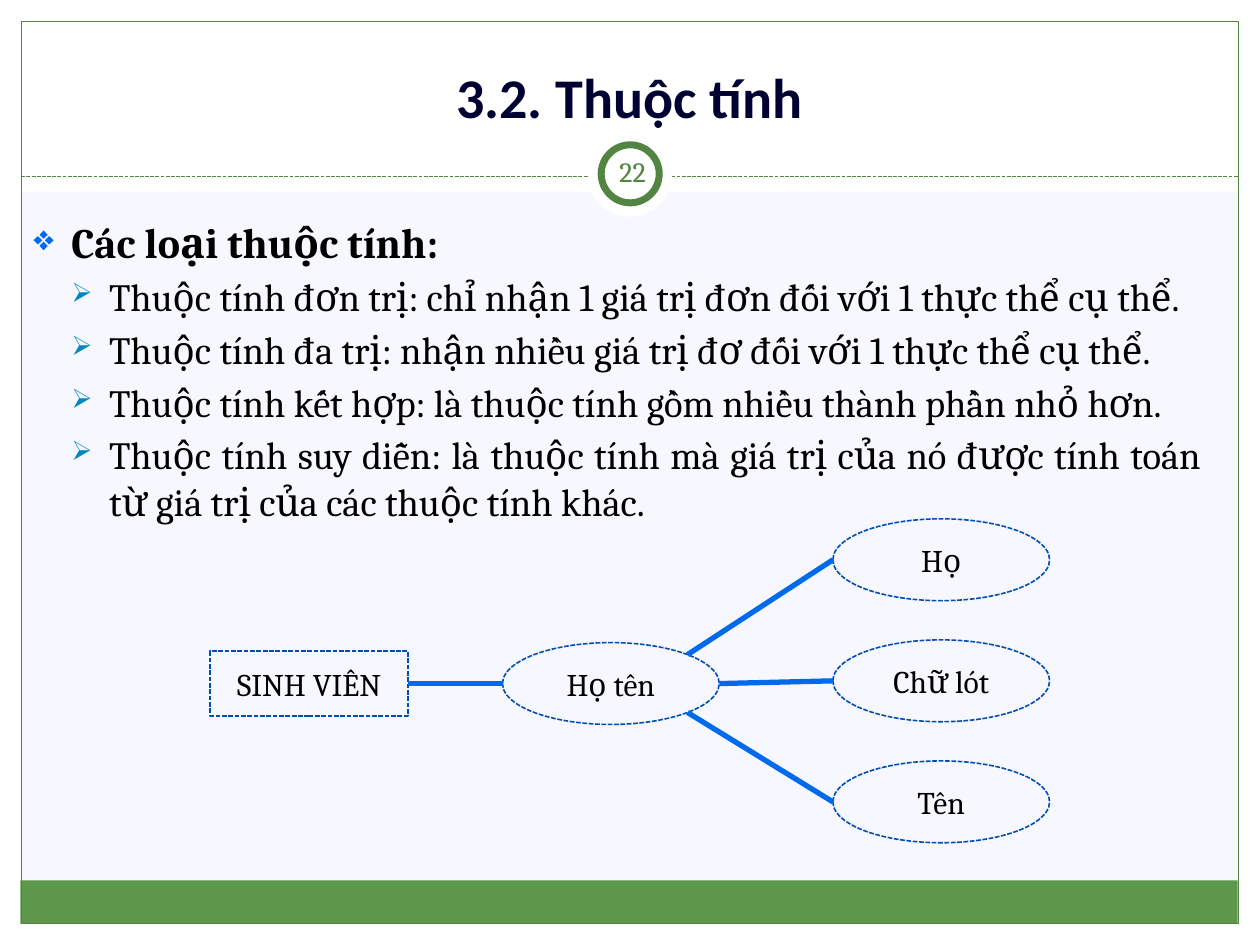
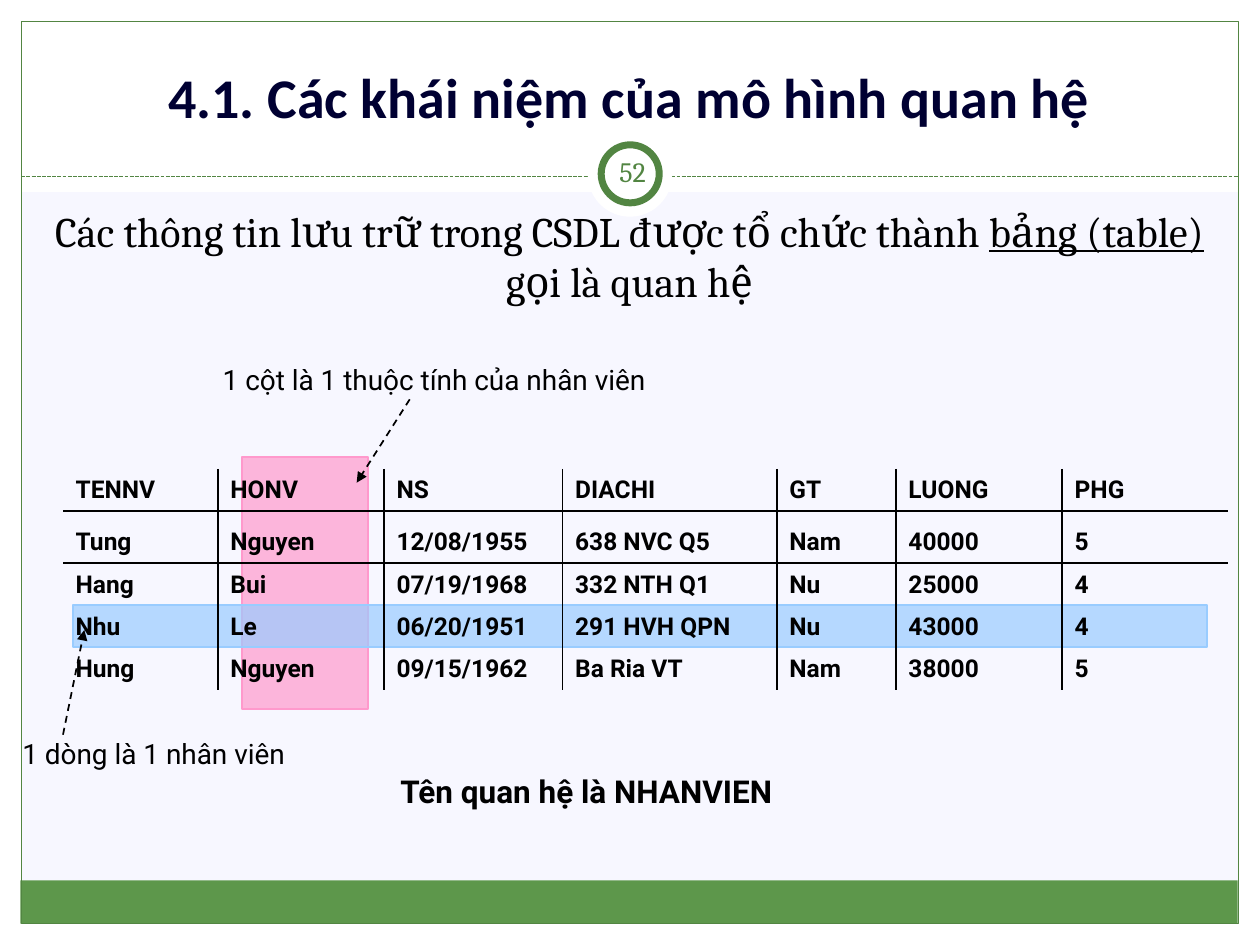
import math
import pptx
import pptx.util
import pptx.dml.color
import pptx.enum.dml
import pptx.enum.shapes
import pptx.enum.text
import pptx.oxml
import pptx.oxml.ns
from lxml import etree

Cm, Pt = pptx.util.Cm, pptx.util.Pt
RGBColor = pptx.dml.color.RGBColor
Kind = pptx.enum.shapes.MSO_SHAPE
Dash = pptx.enum.dml.MSO_LINE
Align = pptx.enum.text.PP_ALIGN
Anchor = pptx.enum.text.MSO_ANCHOR
qn = pptx.oxml.ns.qn

# Colours
WHITE = RGBColor(0xFF, 0xFF, 0xFF)
BLACK = RGBColor(0, 0, 0)
PALE = RGBColor(0xF7, 0xF7, 0xFF)
GREEN = RGBColor(0x5D, 0x97, 0x4B)
MOSS = RGBColor(0x52, 0x85, 0x42)
NAVY = RGBColor(0, 0, 0x32)
BLUE = RGBColor(0, 0x6A, 0xED)
TEAL = RGBColor(0, 0x87, 0xBF)
EDGE = RGBColor(0, 0x4E, 0xAF)
PINK = RGBColor(0xFF, 0x99, 0xCC)
SKY = RGBColor(0x99, 0xCC, 0xFF)

# Fonts
HEAD, SERIF, SANS = "Calibri", "Cambria", "Roboto"

NO_GRID = "{2D5ABB26-0587-4C30-8999-92F81FD0307C}"


# Basic elements
def set_font(para, name, size, color=BLACK, bold=False):
    font = para.font
    font.name, font.size, font.bold = name, Pt(size), bold
    font.color.rgb = color


def set_line(line, color, width, dash=None):
    line.color.rgb = color
    line.width = Pt(width)
    if dash:
        line.dash_style = dash


def add_form(slide, kind, area, fill=None, line=None, alpha=None):
    form = slide.shapes.add_shape(kind, *map(Cm, area))
    form.shadow.inherit = False
    if fill is None:
        form.fill.background()
    else:
        form.fill.solid()
        form.fill.fore_color.rgb = fill
    if alpha:
        tint = form.fill._xPr.find(qn("a:solidFill"))[0]
        etree.SubElement(tint, qn("a:alpha"), val=str(alpha * 1000))
    if line:
        set_line(form.line, *line)
    else:
        form.line.fill.background()
    return form


def add_line(slide, start, end, color, width, dash=None, arrow=False):
    link = slide.shapes.add_connector(
        pptx.enum.shapes.MSO_CONNECTOR.STRAIGHT, *map(Cm, (*start, *end)))
    set_line(link.line, color, width, dash)
    if arrow:
        etree.SubElement(link.line._get_or_add_ln(), qn("a:tailEnd"), type="triangle")
    etree.SubElement(link._element.spPr, qn("a:effectLst"))
    return link


def add_box(slide, area, text, name, size, color=BLACK, bold=False,
            align=Align.LEFT, anchor=Anchor.TOP):
    frame = slide.shapes.add_textbox(*map(Cm, area)).text_frame
    frame.word_wrap = True
    frame.vertical_anchor = anchor
    para = frame.paragraphs[0]
    para.text = text
    para.alignment = align
    set_font(para, name, size, color, bold)
    return frame


def add_point(para, text, level, mark, color, scale):
    para.text = text
    para.level = level
    props = para._p.get_or_add_pPr()
    step = Cm(0.76)
    props.set("marL", str(step * (level + 1)))
    props.set("indent", str(-step))
    tint = etree.SubElement(props, qn("a:buClr"))
    etree.SubElement(tint, qn("a:srgbClr"), val=str(color))
    etree.SubElement(props, qn("a:buSzPct"), val=str(scale * 1000))
    etree.SubElement(props, qn("a:buChar"), char=mark)


# Shared look: bands, frame, title and number
def add_base(deck, title, number):
    slide = deck.slides.add_slide(deck.slide_layouts[6])
    slide.background.fill.solid()
    slide.background.fill.fore_color.rgb = PALE
    for band in ((0, 18.62, 25.4, 0.43), (0, 0, 25.4, 3.87),
                 (0, 0, 0.43, 19.05), (24.97, 0, 0.43, 19.05)):
        add_form(slide, Kind.RECTANGLE, band, WHITE)
    add_form(slide, Kind.RECTANGLE, (0.41, 17.75, 24.54, 0.87), GREEN)
    add_form(slide, Kind.RECTANGLE, (0.43, 0.43, 24.54, 18.19), line=(MOSS, 0.75))
    add_line(slide, (0.43, 3.56), (24.97, 3.56), MOSS, 0.75, Dash.SQUARE_DOT)
    add_form(slide, Kind.OVAL, (11.85, 2.67, 1.7, 1.7), WHITE)
    add_form(slide, Kind.OVAL, (12.12, 2.92, 1.17, 1.17), WHITE, (MOSS, 4))
    add_box(slide, (0.84, 0.64, 23.7, 2.11), title, HEAD, 32, NAVY, True,
            Align.CENTER, Anchor.BOTTOM)
    badge = add_box(slide, (12.12, 2.84, 1.27, 1.22), number, SERIF, 16, MOSS,
                    align=Align.CENTER, anchor=Anchor.MIDDLE)
    badge.margin_left = badge.margin_right = Cm(0.13)
    return slide


# Entity diagram
def add_node(slide, kind, area, text):
    node = add_form(slide, kind, area, line=(EDGE, 0.9, Dash.SQUARE_DOT))
    para = node.text_frame.paragraphs[0]
    para.text = text
    para.alignment = Align.CENTER
    node.text_frame.vertical_anchor = Anchor.MIDDLE
    set_font(para, SERIF, 18)
    return node


def add_tree(slide):
    wide, high = 4.37, 1.65
    left, mid = 10.13, 13.78
    student = add_node(slide, Kind.RECTANGLE, (4.24, mid - 0.65, 3.99, 1.3), "SINH VIÊN")
    add_node(slide, Kind.OVAL, (left, mid - high / 2, wide, high), "Họ tên")
    stem = add_line(slide, (left, mid), (8.23, mid), BLUE, 3)
    stem.end_connect(student, 3)
    for i, part in enumerate(("Họ", "Chữ lót", "Tên")):
        top = 10.46 + 2.44 * i
        add_node(slide, Kind.OVAL, (16.79, top, wide, high), part)
        angle = math.pi / 4 * (i - 1)
        joint = (left + wide / 2 * (1 + math.cos(angle)),
                 mid + high / 2 * math.sin(angle))
        add_line(slide, (16.79, top + high / 2), joint, BLUE, 3)


# Relation table
def rule_cell(cell, sides):
    props = cell._tc.get_or_add_tcPr()
    for spot, side in enumerate(sides):
        edge = etree.Element(qn("a:ln" + side), w=str(Pt(1)))
        fill = etree.SubElement(edge, qn("a:solidFill"))
        etree.SubElement(fill, qn("a:srgbClr"), val=str(BLACK))
        props.insert(spot, edge)


def add_grid(slide, rows, widths, heights, left, top):
    area = map(Cm, (left, top, sum(widths), sum(heights)))
    table = slide.shapes.add_table(len(rows), len(widths), *area).table
    table.first_row = table.horz_banding = False
    table._tbl.tblPr.find(qn("a:tableStyleId")).text = NO_GRID
    for col, width in zip(table.columns, widths):
        col.width = Cm(width)
    for r, row in enumerate(rows):
        table.rows[r].height = Cm(heights[r])
        for c, text in enumerate(row):
            cell = table.cell(r, c)
            cell.fill.background()
            cell.margin_top = cell.margin_bottom = Cm(0.12)
            cell.vertical_anchor = Anchor.BOTTOM
            para = cell.text_frame.paragraphs[0]
            para.text = text
            set_font(para, SANS, 14, bold=True)
            rules = (("L", c > 0), ("R", c < len(row) - 1), ("T", r == 1), ("B", r == 0))
            rule_cell(cell, [side for side, shown in rules if shown])


# Slides
def add_types(deck):
    slide = add_base(deck, "3.2. Thuộc tính", "22")
    frame = add_box(slide, (0.43, 4.24, 24.03, 12.7), "", SERIF, 24)
    lead = frame.paragraphs[0]
    add_point(lead, "Các loại thuộc tính:", 0, "❖", BLUE, 85)
    # Keep the default run properties after the bullet elements
    props = lead._p.pPr
    props.append(props.find(qn("a:defRPr")))
    set_font(lead, SERIF, 24, bold=True)
    for text in (
            "Thuộc tính đơn trị: chỉ nhận 1 giá trị đơn đối với 1 thực thể cụ thể.",
            "Thuộc tính đa trị: nhận nhiều giá trị đơ đối với 1 thực thể cụ thể.",
            "Thuộc tính kết hợp: là thuộc tính gồm nhiều thành phần nhỏ hơn.",
            "Thuộc tính suy diễn: là thuộc tính mà giá trị của nó được tính toán "
            "từ giá trị của các thuộc tính khác."):
        para = frame.add_paragraph()
        add_point(para, text, 1, "➢", TEAL, 70)
        para.alignment = Align.JUSTIFY
        para.space_before = Pt(3.7)
        set_font(para, SERIF, 22)
    add_tree(slide)


def add_terms(deck):
    slide = add_base(deck, "4.1. Các khái niệm của mô hình quan hệ", "52")
    intro = add_box(slide, (0.84, 4.01, 23.7, 2.34),
                    "Các thông tin lưu trữ trong CSDL được tổ chức thành ",
                    SERIF, 24, align=Align.CENTER).paragraphs[0]
    term = intro.add_run()
    term.text = "bảng (table)"
    term.font.underline = True
    intro.add_run().text = " gọi là quan hệ"

    # Marked column and row
    add_form(slide, Kind.RECTANGLE, (4.88, 9.22, 2.54, 5.08), PINK, (PINK, 1), 70)
    add_box(slide, (4.24, 7.19, 9.73, 0.94), "1 cột là 1 thuộc tính của nhân viên", SANS, 16)
    add_form(slide, Kind.RECTANGLE, (1.47, 12.19, 22.86, 0.85), SKY, (SKY, 1), 70)
    add_box(slide, (0.2, 14.73, 6.15, 0.94), "1 dòng là 1 nhân viên", SANS, 16)

    rows = (
        ("TENNV", "HONV", "NS", "DIACHI", "GT", "LUONG", "PHG"),
        ("Tung", "Nguyen", "12/08/1955", "638 NVC Q5", "Nam", "40000", "5"),
        ("Hang", "Bui", "07/19/1968", "332 NTH Q1", "Nu", "25000", "4"),
        ("Nhu", "Le", "06/20/1951", "291 HVH QPN", "Nu", "43000", "4"),
        ("Hung", "Nguyen", "09/15/1962", "Ba Ria VT", "Nam", "38000", "5"))
    add_grid(slide, rows, (3.12, 3.35, 3.6, 4.32, 2.4, 3.35, 3.35),
             (0.85, 1.05, 0.85, 0.85, 0.85), 1.27, 9.45)
    for start, end in (((8.26, 8.05), (7.19, 9.73)), ((1.27, 14.81), (1.7, 12.7))):
        add_line(slide, start, end, BLACK, 1, Dash.DASH, True)
    add_box(slide, (7.82, 15.44, 11.43, 1.02), "Tên quan hệ là NHANVIEN", SANS, 18, bold=True)


def main():
    deck = pptx.Presentation()
    deck.slide_width, deck.slide_height = Cm(25.4), Cm(19.05)
    add_types(deck)
    add_terms(deck)
    deck.save("out.pptx")


if __name__ == "__main__":
    main()
